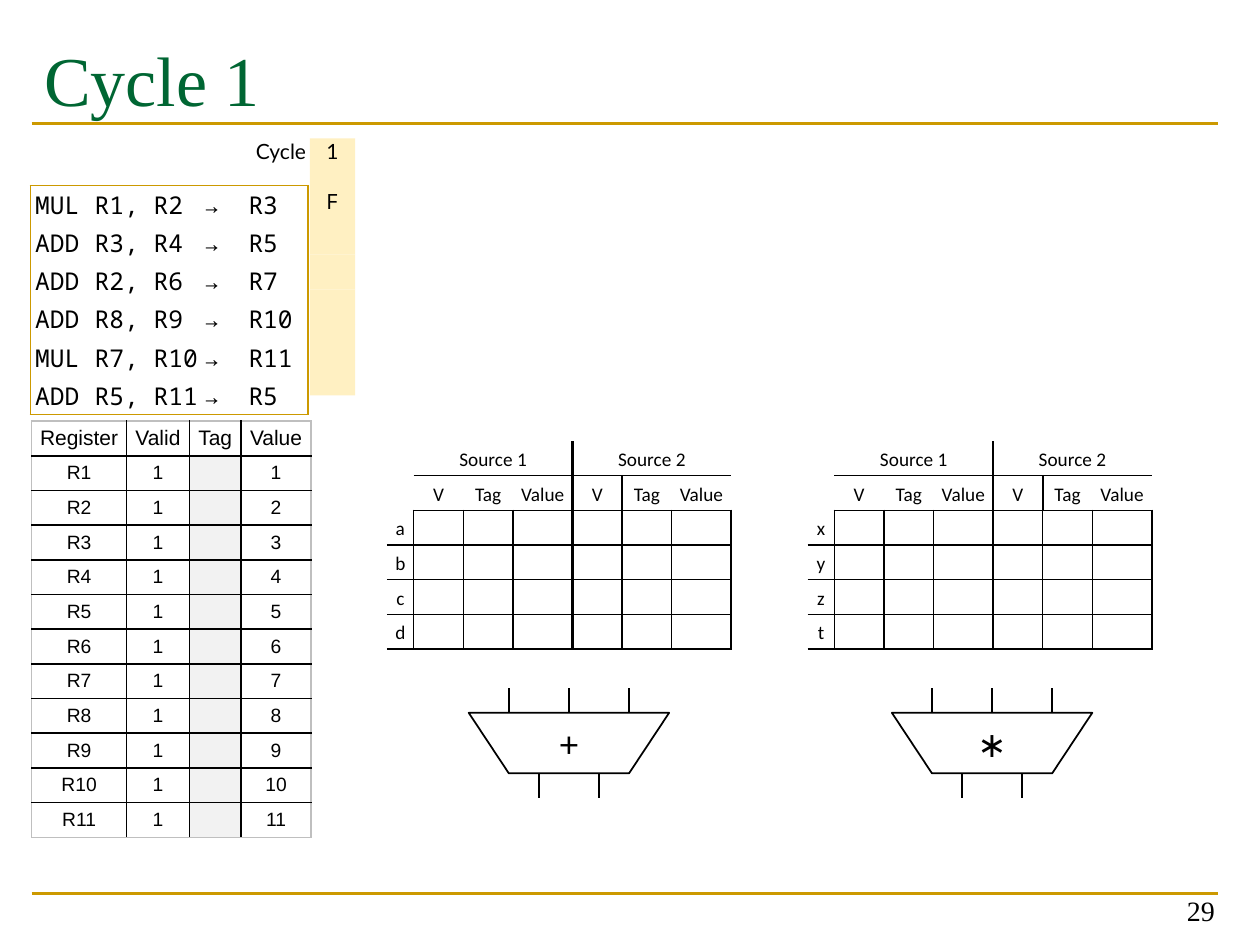
from lxml.etree import SubElement
from pptx import Presentation
from pptx.dml.color import RGBColor
from pptx.enum.shapes import MSO_CONNECTOR, MSO_SHAPE
from pptx.enum.text import MSO_ANCHOR, PP_ALIGN
from pptx.oxml.ns import qn
from pptx.util import Cm, Pt

THEME = {
    "gold": "CC9900", "ink": "000000", "paper": "FFFFFF",
    "highlight": "FFF0C2", "unused": "F2F2F2", "frame": "BFBFBF",
    # role: font, size, colour, line spacing
    "title": ("Times New Roman", 40, "006633", 1),
    "number": ("Times New Roman", 16, "000000", 1),
    "head": ("Arial", 12, "000000", 1),
    "register": ("Arial", 11, "000000", 1),
    "station": ("Calibri", 11, "000000", 1.07),
    "operator": ("Lato", 20, "000000", 1),
    "cycle": ("Lato", 12, "000000", 1),
    "stage": ("Noto Sans Mono", 12, "000000", 1),
    "code": ("Noto Sans Mono", 14, "000000", 1),
}
NO_GRID = "{2D5ABB26-0587-4C30-8999-92F81FD0307C}"
LEFT, CENTER, RIGHT = PP_ALIGN.LEFT, PP_ALIGN.CENTER, PP_ALIGN.RIGHT
TOP, MIDDLE, BOTTOM = MSO_ANCHOR.TOP, MSO_ANCHOR.MIDDLE, MSO_ANCHOR.BOTTOM


def write(box, text, role, align=CENTER, anchor=MIDDLE, side=0, top=0, bottom=0):
    """Fill a table cell or a text frame with one formatted paragraph."""
    layout = {"vertical_anchor": anchor, "margin_left": Cm(side), "margin_right": Cm(side),
              "margin_top": Cm(top), "margin_bottom": Cm(bottom)}
    for attribute, value in layout.items():
        setattr(box, attribute, value)
    frame = box.text_frame if hasattr(box, "text_frame") else box
    font_name, size, colour, spacing = THEME[role]
    paragraph = frame.paragraphs[0]
    paragraph.alignment, paragraph.line_spacing = align, spacing
    if not text:
        SubElement(paragraph._p, qn("a:endParaRPr"), sz=str(size * 100))
        return
    run = paragraph.add_run()
    run.text = text
    for attribute, value in {"name": font_name, "size": Pt(size)}.items():
        setattr(run.font, attribute, value)
    run.font.color.rgb = RGBColor.from_string(colour)


def rule_cell(cell, fill=None, **edges):
    """Fill a cell and draw its edges, each given as (colour, points)."""
    if fill:
        cell.fill.solid()
        cell.fill.fore_color.rgb = RGBColor.from_string(fill)
    else:
        cell.fill.background()
    properties = cell._tc.get_or_add_tcPr()
    drawn = [side for side in "LRTB" if edges.get(side)]
    for position, side in enumerate(drawn):
        colour, points = edges[side]
        edge = SubElement(properties, qn(f"a:ln{side}"), w=str(Pt(points)))
        SubElement(SubElement(edge, qn("a:solidFill")), qn("a:srgbClr"), val=colour)
        properties.insert(position, edge)


presentation = Presentation()
presentation.slide_width, presentation.slide_height = Cm(25.4), Cm(19.05)
slide = presentation.slides.add_slide(presentation.slide_layouts[5])
shapes = slide.shapes
thin, thick = (THEME["ink"], 1), (THEME["ink"], 1.5)
gold, pale = (THEME["gold"], 1), (THEME["frame"], 1)

# Title and page number
title = shapes.title
title.left, title.top, title.width, title.height = Cm(0.64), Cm(0.43), Cm(23.93), Cm(2.97)
write(title.text_frame, "Cycle 1", "title", LEFT, TOP, side=0.25, top=0.3)
page_number = shapes.add_textbox(Cm(18.82), Cm(17.55), Cm(5.92), Cm(1.27)).text_frame
page_number.word_wrap = True
write(page_number, "29", "number", RIGHT, BOTTOM, side=0.25, bottom=0.13)

# Lines: the two slide rules, then the stems of the functional units
lines = [(shapes, 0.64, y, 24.56, y, THEME["gold"], 1.5) for y in (2.49, 18.01)]

# Functional units
unit_width, unit_height, unit_top, stem = 4.04, 1.22, 14.37, 0.5
for operator, left in (("+", 9.45), ("∗", 17.98)):
    group = shapes.add_group_shape().shapes
    unit = group.add_shape(MSO_SHAPE.FLOWCHART_MANUAL_OPERATION, Cm(left), Cm(unit_top),
                           Cm(unit_width), Cm(unit_height))
    unit.shadow.inherit = False
    unit.fill.solid()
    unit.fill.fore_color.rgb = RGBColor.from_string(THEME["paper"])
    unit.line.color.rgb = RGBColor.from_string(THEME["ink"])
    unit.line.width = Pt(1)
    write(unit.text_frame, operator, "operator")
    for y, shares in ((unit_top - stem, (0.2, 0.5, 0.8)), (unit_top + unit_height, (0.35, 0.65))):
        for share in shares:
            x = left + share * unit_width
            lines.append((group, x, y, x, y + stem, *thin))

for parent, x1, y1, x2, y2, colour, points in lines:
    line = parent.add_connector(MSO_CONNECTOR.STRAIGHT, Cm(x1), Cm(y1), Cm(x2), Cm(y2))
    line.line.color.rgb = RGBColor.from_string(colour)
    line.line.width = Pt(points)
    SubElement(line._element.spPr, qn("a:effectLst"))

# Cycle column
cycle_label = shapes.add_textbox(Cm(4.17), Cm(2.79), Cm(2), Cm(0.9)).text_frame
cycle_label.word_wrap = True
write(cycle_label, "Cycle", "cycle", RIGHT, TOP)
column = shapes.add_group_shape().shapes
y = 2.79
for text, role, height, anchor in [("1", "cycle", 0.92, TOP), ("F", "stage", 0.71, MIDDLE),
                                   *[("", "stage", 0.71, MIDDLE)] * 5]:
    slot = column.add_shape(MSO_SHAPE.RECTANGLE, Cm(6.25), Cm(y), Cm(0.91), Cm(height))
    slot.shadow.inherit = False
    slot.fill.solid()
    slot.fill.fore_color.rgb = RGBColor.from_string(THEME["highlight"])
    slot.line.fill.background()
    write(slot.text_frame, text, role, anchor=anchor)
    y += height

# Table contents
registers = [["Register", "Valid", "Tag", "Value"]]
registers += [[f"R{n}", "1", "", str(n)] for n in range(1, 12)]
program = [["MUL", "R1, R2", "→", "R3"], ["ADD", "R3, R4", "→", "R5"],
           ["ADD", "R2, R6", "→", "R7"], ["ADD", "R8, R9", "→", "R10"],
           ["MUL", "R7, R10", "→", "R11"], ["ADD", "R5, R11", "→", "R5"]]
add_station, multiply_station = (
    [["", "Source 1", "", "", "Source 2", "", ""], ["", *["V", "Tag", "Value"] * 2],
     *[[tag] + [""] * 6 for tag in tags]] for tags in ("abcd", "xyzt"))
station_columns = [0.54, *[1, 1, 1.2] * 2]

# Register file, reservation stations and program
for kind, rows, left, top, widths, row_height in (
        ("register", registers, 0.64, 8.49, [1.91, 1.27, 1.04, 1.41], 0.7),
        ("station", add_station, 7.8, 8.89, station_columns, 0.7),
        ("station", multiply_station, 16.28, 8.89, station_columns, 0.7),
        ("code", program, 0.61, 3.74, [1.3, 2.21, 0.79, 1.3], 0.77)):
    table = shapes.add_table(len(rows), len(widths), Cm(left), Cm(top), Cm(sum(widths)),
                             Cm(row_height * len(rows))).table
    table.first_row = table.horz_banding = False
    table._tbl.tblPr.find(qn("a:tableStyleId")).text = NO_GRID
    for table_column, width in zip(table.columns, widths):
        table_column.width = Cm(width)
    if kind == "station":
        table.cell(0, 0).merge(table.cell(1, 0))
        for first in (1, 4):
            table.cell(0, first).merge(table.cell(0, first + 2))
    for r, texts in enumerate(rows):
        table.rows[r].height = Cm(row_height)
        for c, text in enumerate(texts):
            cell = table.cell(r, c)
            is_first, is_last = r == 0, r == len(rows) - 1
            is_left, is_right = c == 0, c == len(widths) - 1
            if kind == "register":
                write(cell, text, "head" if is_first else kind, side=0.13)
                rule_cell(cell, THEME["unused"] if c == 2 and r else None,
                          L=pale if is_left else thin, R=pale if is_right else thin,
                          T=pale if is_first else thin, B=pale if is_last else thin)
            elif kind == "code":
                write(cell, text, kind, LEFT, side=0 if c in (1, 2) else 0.1, top=0.05, bottom=0.05)
                rule_cell(cell, L=is_left and gold, R=is_right and gold,
                          T=is_first and gold, B=is_last and gold)
            else:
                write(cell, text, kind, side=0.08 if r == 1 else 0.13, top=0.03)
                in_grid, in_body = r > 1, c > 0
                divider_right = c == 3 or (r, c) == (0, 1)
                rule_cell(cell,
                          L=thick if c == 4 else in_grid and in_body and thin,
                          R=thick if divider_right else in_grid and thin,
                          T=(r > 2 or (r > 0 and in_body)) and thin,
                          B=(in_grid or in_body) and thin)

presentation.save("out.pptx")
